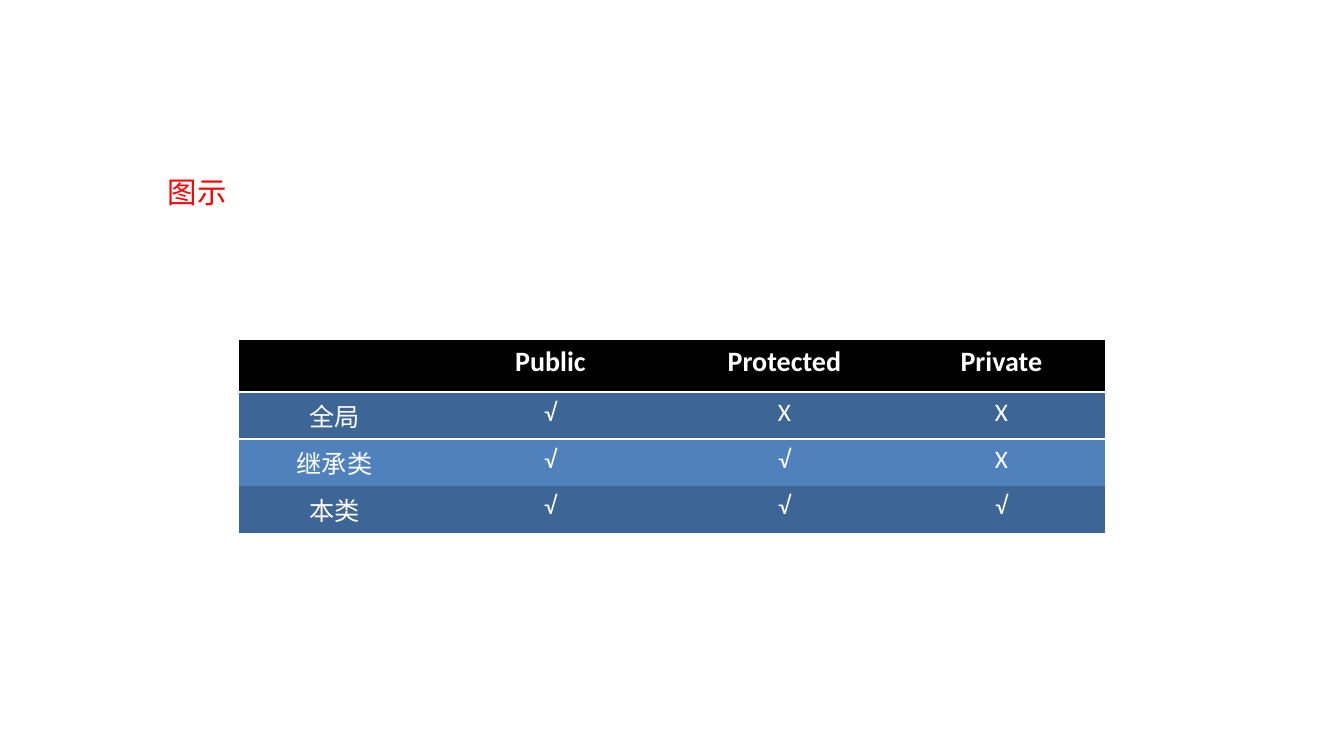
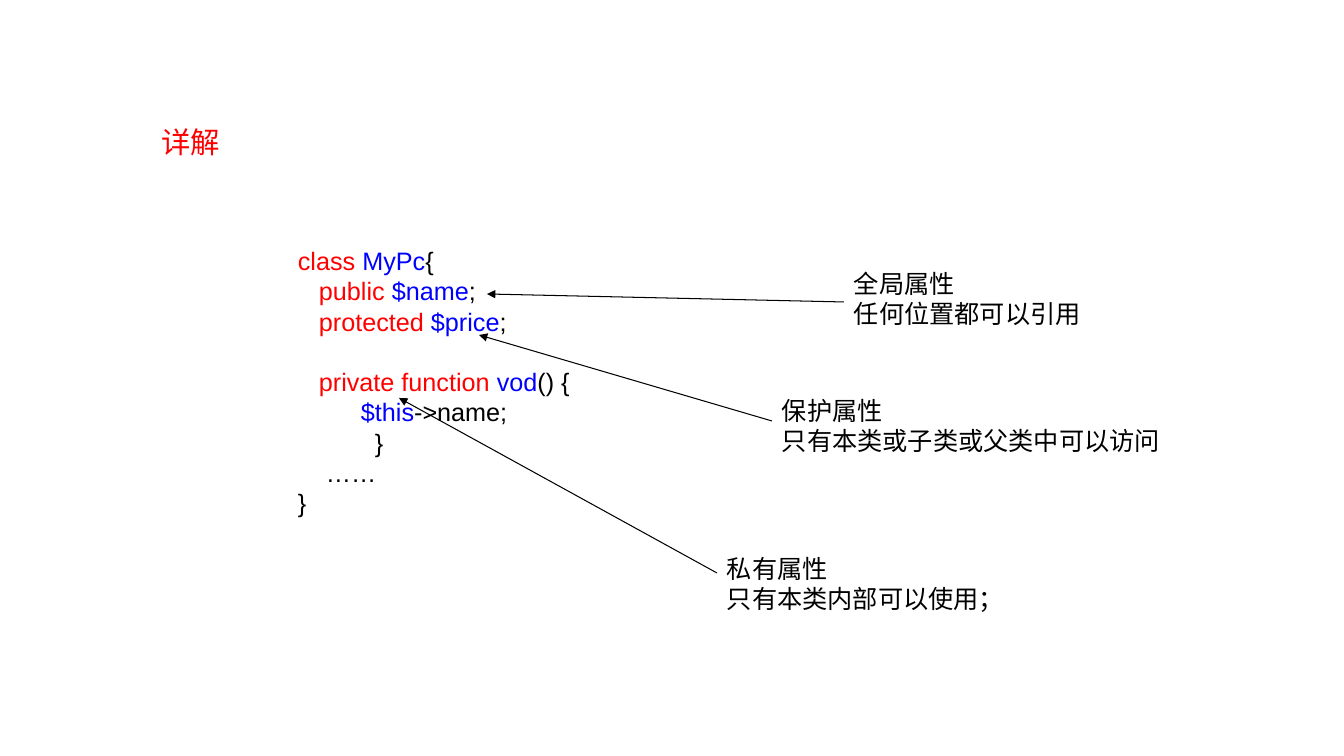
from lxml import etree
from pptx import Presentation
from pptx import util as u
from pptx.dml.color import RGBColor
from pptx.enum import shapes, text
from pptx.oxml import parse_xml
from pptx.oxml.ns import nsdecls, qn

# Content
RED, BLUE, BLACK, WHITE = "FF0000", "0000FF", "000000", "FFFFFF"
DARK_ROW, LIGHT_ROW = "3D6696", "4F81BD"
CJK = "Noto Sans CJK SC"

ACCESS_TITLE = ("图示", 168, 174)
ACCESS = [
    ("", "Public", "Protected", "Private"),
    ("全局", "√", "X", "X"),
    ("继承类", "√", "√", "X"),
    ("本类", "√", "√", "√"),
]
COLUMN_WIDTHS = (191, 241, 227, 207)
ROW_HEIGHTS = (52, 47, 47, 47)
ROW_FILLS = (BLACK, DARK_ROW, LIGHT_ROW, DARK_ROW)

DETAIL_TITLE = ("详解", 161, 124)
# Each code line: indent, blank lines before, coloured parts
CODE = [
    (0, 0, [("class ", RED), ("MyPc", BLUE), ("{", BLACK)]),
    (21, 0, [("public ", RED), ("$name", BLUE), (";", BLACK)]),
    (21, 0, [("protected ", RED), ("$price", BLUE), (";", BLACK)]),
    (21, 1, [("private function ", RED), ("vod", BLUE), ("() {", BLACK)]),
    (63, 0, [("$this", BLUE), ("->name;", BLACK)]),
    (77, 0, [("}", BLACK)]),
    (28, 0, [("……", BLACK)]),
    (0, 0, [("}", BLACK)]),
]
# Each note: lines, left, top, width, arrow start height, arrow tip
NOTES = [
    (("全局属性", "任何位置都可以引用"), 844, 263, 247, 302, (487, 294)),
    (("保护属性", "只有本类或子类或父类中可以访问"), 772, 390, 398, 421, (479, 335)),
    (("私有属性", "只有本类内部可以使用；"), 717, 548, 297, 573, (399, 398)),
]
LINE_PITCH = u.Pt(21.6)


def px(pixels):
    return u.Emu(round(pixels * 914400 / 100.8))


def colour(value):
    return RGBColor.from_string(value)


def add_span(para, words, size=18, font="Arial", ink=BLACK, bold=False):
    span = para.add_run()
    span.text = words
    span.font.size = u.Pt(size)
    span.font.name = font
    span.font.bold = bold
    span.font.color.rgb = colour(ink)
    etree.SubElement(span.font._element, qn("a:ea"), typeface=CJK)


def add_lines(frame, lines):
    """Write lines of (indent, blank lines before, coloured parts)."""
    for index, (indent, blanks, parts) in enumerate(lines):
        para = frame.add_paragraph() if index else frame.paragraphs[0]
        para.alignment = text.PP_ALIGN.LEFT
        para.line_spacing = LINE_PITCH
        para.space_before = u.Emu(blanks * LINE_PITCH)
        para._p.get_or_add_pPr().set("marL", str(px(indent)))
        for words, ink in parts:
            add_span(para, words, ink=ink)


def add_page(deck, words, left, top):
    page = deck.slides.add_slide(deck.slide_layouts[5])
    title = page.shapes.title
    title.left, title.top, title.width, title.height = map(px, (left, top, 325, 35))
    frame = title.text_frame
    frame.margin_left = frame.margin_right = frame.margin_top = frame.margin_bottom = 0
    frame.vertical_anchor = text.MSO_ANCHOR.TOP
    frame.auto_size = text.MSO_AUTO_SIZE.NONE
    frame.paragraphs[0].alignment = text.PP_ALIGN.LEFT
    add_span(frame.paragraphs[0], words, size=21, font=CJK, ink=RED)
    return page


def add_border(cell, side):
    cell._tc.get_or_add_tcPr().insert(0, parse_xml(
        f'<a:{side} {nsdecls("a")} w="{u.Pt(2)}"><a:solidFill>'
        f'<a:srgbClr val="{WHITE}"/></a:solidFill></a:{side}>'))


def add_arrow(page, start, tip):
    arrow = page.shapes.add_connector(
        shapes.MSO_CONNECTOR.STRAIGHT, *map(px, start + tip))
    arrow.line.color.rgb = colour(BLACK)
    arrow.line.width = u.Pt(0.75)
    etree.SubElement(arrow.line._get_or_add_ln(), qn("a:tailEnd"), type="triangle")
    etree.SubElement(arrow._element.spPr, qn("a:effectLst"))


deck = Presentation()
deck.slide_width, deck.slide_height = px(1344), px(756)

# Access table
page = add_page(deck, *ACCESS_TITLE)
table = page.shapes.add_table(
    len(ACCESS), len(COLUMN_WIDTHS), px(239), px(340),
    px(sum(COLUMN_WIDTHS)), px(sum(ROW_HEIGHTS))).table
table.first_row = table.horz_banding = False
style = table._tbl.tblPr.find(qn("a:tableStyleId"))
style.text = "{2D5ABB26-0587-4C30-8999-92F81FD0307C}"  # no style, no grid
for column, width in zip(table.columns, COLUMN_WIDTHS):
    column.width = px(width)
for r, (row, height) in enumerate(zip(table.rows, ROW_HEIGHTS)):
    row.height = px(height)
    for cell, words in zip(row.cells, ACCESS[r]):
        cell.fill.solid()
        cell.fill.fore_color.rgb = colour(ROW_FILLS[r])
        if r < 2:
            add_border(cell, "lnT" if r else "lnB")
        para = cell.text_frame.paragraphs[0]
        para.alignment = text.PP_ALIGN.CENTER
        if words:
            add_span(para, words, size=18 if r else 20, font="Calibri",
                     ink=WHITE, bold=r == 0)

# Code listing
page = add_page(deck, *DETAIL_TITLE)
listing = page.shapes.add_shape(
    shapes.MSO_SHAPE.RECTANGLE, *map(px, (288, 231, 373, 301)))
listing.shadow.inherit = False
listing.fill.solid()
listing.fill.fore_color.rgb = colour(WHITE)
listing.line.fill.background()
listing.text_frame.word_wrap = True
listing.text_frame.vertical_anchor = text.MSO_ANCHOR.MIDDLE
add_lines(listing.text_frame, CODE)

# Notes with arrows into the code
for lines, left, top, width, start_y, tip in NOTES:
    add_arrow(page, (left, start_y), tip)
    box = page.shapes.add_textbox(*map(px, (left, top, width, 71)))
    box.text_frame.word_wrap = False
    add_lines(box.text_frame, [(0, 0, [(line, BLACK)]) for line in lines])

deck.save("out.pptx")
